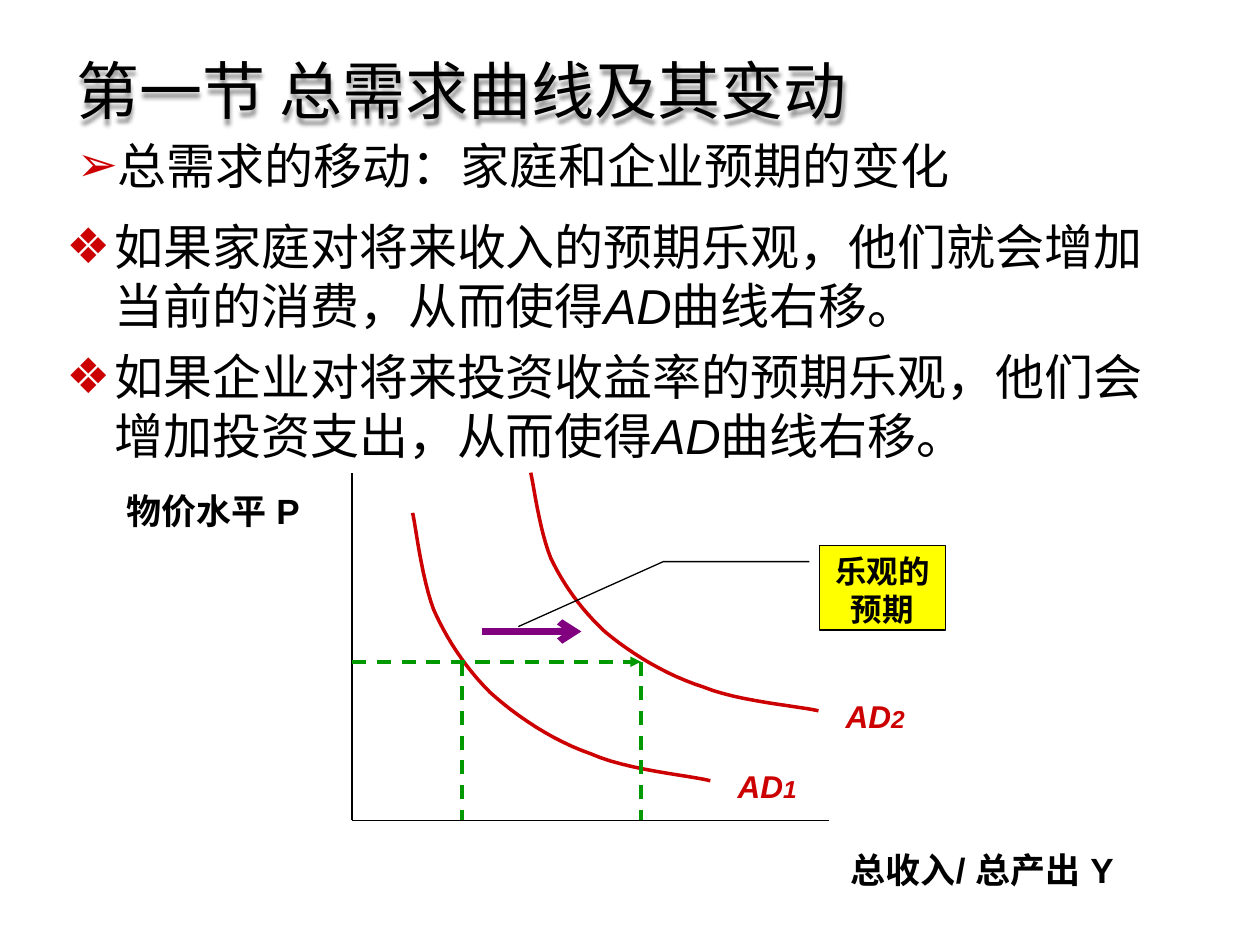
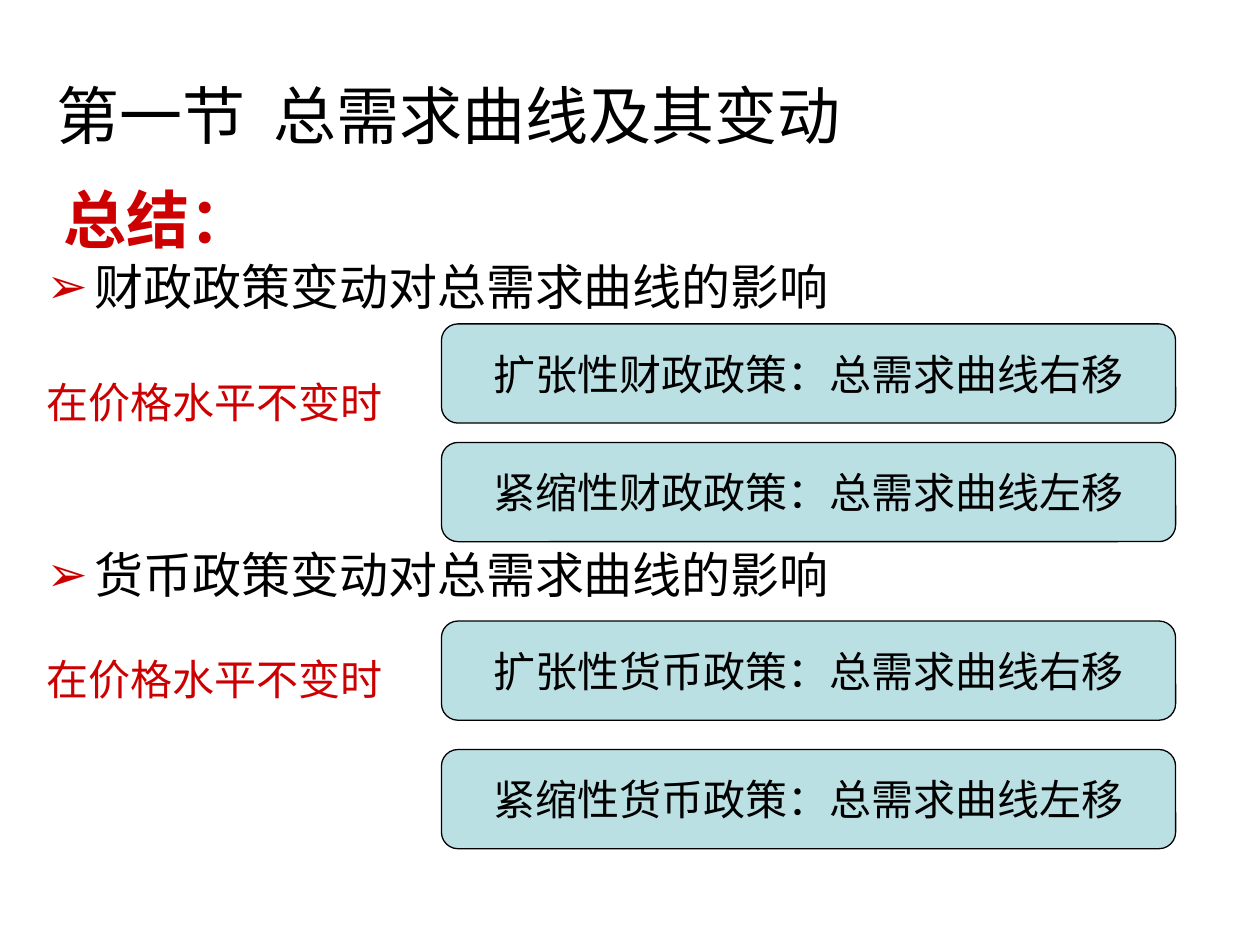
from lxml.etree import SubElement
from pptx import Presentation
from pptx.dml.color import RGBColor
from pptx.enum.dml import MSO_LINE
from pptx.enum.shapes import MSO_CONNECTOR, MSO_SHAPE
from pptx.enum.text import MSO_ANCHOR, PP_ALIGN
from pptx.oxml.ns import qn
from pptx.util import Cm, Pt

BLACK, RED, GREEN, PURPLE = "000000", "CC0000", "009900", "800080"
YELLOW, PALE_BLUE = "FFFF00", "BBE0E3"
BODY_FONT, TITLE_FONT = "Arial", "Noto Sans CJK SC"
HANGING = 0.97
# Demand curve as fractions of its box: a start point, then four Bézier segments.
CURVE = [(0, 0), (.01, .05), (.03, .24), (.07, .36), (.11, .46), (.17, .57), (.26, .67),
         (.35, .76), (.47, .85), (.6, .9), (.72, .96), (.93, .98), (1, 1)]


def color(value):
    return RGBColor.from_string(value)


def add_span(para, text, size, ink=BLACK, bold=False, italic=False, font=BODY_FONT):
    span = para.add_run()
    span.text = text
    span.font.size = Pt(size)
    span.font.bold = bold
    span.font.italic = italic
    span.font.color.rgb = color(ink)
    span.font.name = font
    properties = span.font._element
    properties.set("lang", "zh-CN")
    SubElement(properties, qn("a:ea")).set("typeface", font)
    return span


def set_bullet(para, mark, hanging=0):
    properties = para._p.get_or_add_pPr()
    properties.set("marL", str(Cm(hanging)))
    properties.set("indent", str(-Cm(hanging)))
    bullet_color = SubElement(properties, qn("a:buClr"))
    SubElement(bullet_color, qn("a:srgbClr")).set("val", RED)
    SubElement(properties, qn("a:buFont")).set("typeface", BODY_FONT)
    SubElement(properties, qn("a:buChar")).set("char", mark)


def add_box(page, left, top, width, height, anchor=MSO_ANCHOR.TOP, wrap=True):
    box = page.shapes.add_textbox(Cm(left), Cm(top), Cm(width), Cm(height))
    box.text_frame.word_wrap = wrap
    box.text_frame.vertical_anchor = anchor
    return box


def add_label(page, left, top, width, height, text, size, ink=BLACK, bold=False,
              mark=None, hanging=0, wrap=False):
    box = add_box(page, left, top, width, height, MSO_ANCHOR.MIDDLE, wrap)
    para = box.text_frame.paragraphs[0]
    if mark:
        set_bullet(para, mark, hanging)
    add_span(para, text, size, ink, bold)


def add_title(page, left, top, width, height, gap=0, shadow=False):
    """Add the section title; gap widens the space after the number, in points."""
    box = add_box(page, left, top, width, height, MSO_ANCHOR.MIDDLE)
    para = box.text_frame.paragraphs[0]
    for text in ("第一节", " ", "总需求曲线及其变动"):
        span = add_span(para, text, 36, font=TITLE_FONT)
        if text == " " and gap:
            span.font._element.set("spc", str(gap * 100))
    if shadow:
        effects = SubElement(box._element.spPr, qn("a:effectLst"))
        outer = SubElement(effects, qn("a:outerShdw"), blurRad=str(Pt(2)),
                           dist=str(Pt(3)), dir="5400000", algn="ctr", rotWithShape="0")
        shade = SubElement(outer, qn("a:srgbClr"), val=BLACK)
        SubElement(shade, qn("a:alpha"), val="40000")


def add_card(page, kind, left, top, width, height, text, size, fill, bold=False):
    card = page.shapes.add_shape(kind, Cm(left), Cm(top), Cm(width), Cm(height))
    card.shadow.inherit = False
    card.fill.solid()
    card.fill.fore_color.rgb = color(fill)
    card.line.color.rgb = color(BLACK)
    card.line.width = Pt(0.75)
    para = card.text_frame.paragraphs[0]
    para.alignment = PP_ALIGN.CENTER
    add_span(para, text, size, bold=bold)
    return card


def add_line(page, start, end, ink, width, dashed=False, head=None):
    line = page.shapes.add_connector(
        MSO_CONNECTOR.STRAIGHT, *(Cm(value) for value in (*start, *end)))
    line.line.color.rgb = color(ink)
    line.line.width = Pt(width)
    if dashed:
        line.line.dash_style = MSO_LINE.DASH
    if head:
        SubElement(line.line._get_or_add_ln(), qn("a:tailEnd")).set("type", head)
    SubElement(line._element.spPr, qn("a:effectLst"))


def curve_points(left, top, width, height, steps=12):
    points = [(left, top)]
    for first in range(0, len(CURVE) - 1, 3):
        a, b, c, d = CURVE[first:first + 4]
        for step in range(1, steps + 1):
            t = step / steps
            weights = ((1 - t) ** 3, 3 * t * (1 - t) ** 2, 3 * t * t * (1 - t), t ** 3)
            x, y = (sum(w * p[axis] for w, p in zip(weights, (a, b, c, d)))
                    for axis in (0, 1))
            points.append((left + x * width, top + y * height))
    return points


def add_demand_curve(page, left, top, width, height, number):
    points = [(Cm(x), Cm(y)) for x, y in curve_points(left, top, width, height)]
    builder = page.shapes.build_freeform(*points[0])
    builder.add_line_segments(points[1:], close=False)
    curve = builder.convert_to_shape()
    curve.shadow.inherit = False
    curve.fill.background()
    curve.line.color.rgb = color(RED)
    curve.line.width = Pt(2)
    box = add_box(page, left + width + 0.3, top + height - 0.4, 1.75, 1, wrap=False)
    para = box.text_frame.paragraphs[0]
    add_span(para, "AD", 18, RED, bold=True, italic=True)
    add_span(para, number, 14, RED, bold=True, italic=True)


def add_expectations(page, left, top, width, height):
    frame = add_box(page, left, top, width, height).text_frame
    beginnings = ("如果家庭对将来收入的预期乐观，他们就会增加当前的消费，从而使得",
                  "如果企业对将来投资收益率的预期乐观，他们会增加投资支出，从而使得")
    for index, beginning in enumerate(beginnings):
        para = frame.add_paragraph() if index else frame.paragraphs[0]
        if index:
            para.space_before = Pt(7)
        set_bullet(para, "❖", HANGING)
        add_span(para, beginning, 28)
        add_span(para, "AD", 28, italic=True)
        add_span(para, "曲线右移。", 28)


def add_demand_diagram(page, left, top, width, height):
    """Draw the axes in the given box, with both demand curves and the shift."""
    bottom = top + height
    add_line(page, (left, bottom), (left, top), BLACK, 1)
    add_line(page, (left, bottom), (left + width, bottom), BLACK, 1)
    add_label(page, left - 4.8, top + 0.2, 4.2, 1.12, "物价水平 P", 20, bold=True)
    add_label(page, left + width + 0.18, bottom, 5.85, 1.96, "总收入/ 总产出 Y", 20,
              bold=True, wrap=True)

    add_demand_curve(page, left + 1.22, top + 0.81, 6, 5.4, "1")
    add_demand_curve(page, left + 3.6, top, 5.8, 4.8, "2")

    price = top + 3.81
    before, after = left + 2.21, left + 5.82
    add_line(page, (left, price), (after, price), GREEN, 2, True, "triangle")
    for output in (before, after):
        add_line(page, (output, price), (output, bottom), GREEN, 2, True)

    add_line(page, (left + 2.62, top + 3.2), (left + 4.62, top + 3.2), PURPLE, 4,
             head="arrow")
    callout = add_card(page, MSO_SHAPE.LINE_CALLOUT_2, left + 9.42, top + 1.47, 2.54, 1.7,
                       "乐观的预期", 18, YELLOW, bold=True)
    callout.text_frame.vertical_anchor = MSO_ANCHOR.TOP
    for index, value in enumerate((0.19, -0.08, 0.19, -1.24, 0.96, -2.39)):
        callout.adjustments[index] = value


def add_policy_section(page, left, top, policy, condition_drop, card_drops):
    """Place one policy's heading, condition and two cards; drops are below top."""
    add_label(page, left, top, 20, 1.4, f"{policy}政策变动对总需求曲线的影响", 28,
              mark="➢", hanging=HANGING)
    add_label(page, left, top + condition_drop, 7.6, 1.2, "在价格水平不变时", 24, RED)
    effects = (("扩张性", "右移"), ("紧缩性", "左移"))
    for drop, (stance, shift) in zip(card_drops, effects):
        card = add_card(page, MSO_SHAPE.ROUNDED_RECTANGLE, left + 8.21, top + drop, 14.8, 2,
                        f"{stance}{policy}政策：总需求曲线{shift}", 24, PALE_BLUE)
        card.text_frame.word_wrap = False


def build_expectations_page(deck):
    page = deck.slides.add_slide(deck.slide_layouts[6])
    add_label(page, 1.3, 2.13, 22.86, 2.39, "总需求的移动：家庭和企业预期的变化", 28,
              mark="➢", wrap=True)
    add_expectations(page, 1.09, 4.25, 22.86, 5.2)
    add_demand_diagram(page, 7.1, 9.53, 9.62, 7.01)
    add_title(page, 1.3, 1, 17.4, 1.6, shadow=True)


def build_summary_page(deck):
    page = deck.slides.add_slide(deck.slide_layouts[6])
    left = 0.69
    add_title(page, 0.89, 1.12, 22.86, 2.39, gap=8)
    add_label(page, left + 0.35, 3.5, 5, 1.8, "总结：", 36, RED, bold=True)
    add_policy_section(page, left, 5.07, "财政", 2.42, (1.46, 3.85))
    add_policy_section(page, left, 10.88, "货币", 2.21, (1.64, 4.23))


def main():
    deck = Presentation()
    deck.slide_width, deck.slide_height = Cm(25.4), Cm(19.05)
    build_expectations_page(deck)
    build_summary_page(deck)
    deck.save("out.pptx")


if __name__ == "__main__":
    main()
